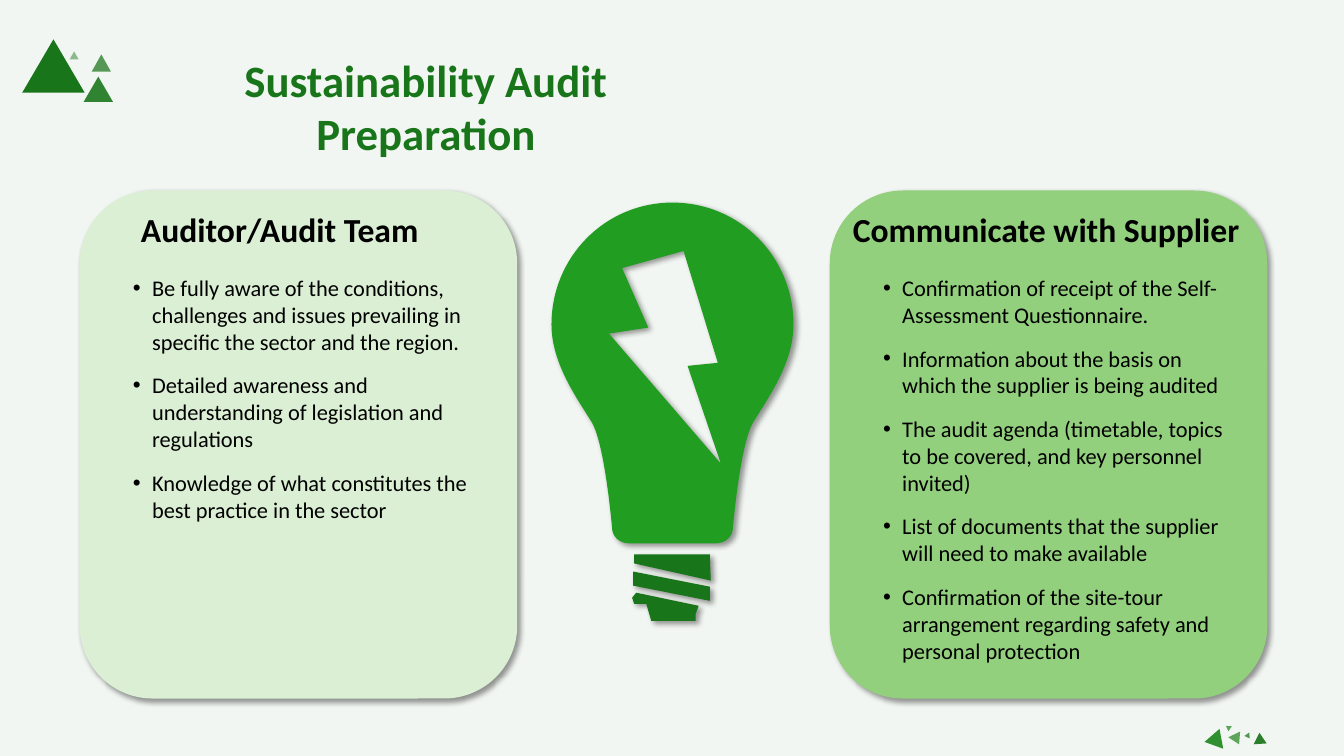
import pptx
import pptx.util
import pptx.oxml
import pptx.oxml.ns
import pptx.dml.color
import pptx.enum.shapes
import pptx.enum.text

Inches = pptx.util.Inches
Pt = pptx.util.Pt
MSO_SHAPE = pptx.enum.shapes.MSO_SHAPE

COLORS = {
    "background": "F2F6F2", "dark": "197519", "bulb": "219E21", "text": "000000",
    "pale": "DBEFD4", "light": "93D07D", "leaf": "5EA45A", "moss": "309030",
    "pine": "2B7E2A", "sage": "559551",
}
FONT = "Calibri"
TITLE = "Sustainability Audit Preparation"
PANELS = [
    {"left": 0.79, "fill": "pale", "heading": "Auditor/Audit Team",
     "heading_left": 1.3, "heading_width": 3.09, "body_height": 2.59,
     "points": [
         "Be fully aware of the conditions, challenges and issues prevailing in specific the sector and the region.",
         "Detailed awareness and understanding of legislation and regulations",
         "Knowledge of what constitutes the best practice in the sector"]},
    {"left": 8.23, "fill": "light", "heading": "Communicate with Supplier",
     "heading_left": 8.36, "heading_width": 4.04, "body_height": 4,
     "points": [
         "Confirmation of receipt of the Self-Assessment Questionnaire.",
         "Information about the basis on which the supplier is being audited",
         "The audit agenda (timetable, topics to be covered, and key personnel invited)",
         "List of documents that the supplier will need to make available",
         "Confirmation of the site-tour arrangement regarding safety and personal protection"]},
]
TRIANGLES = [
    (12.2, 7.28, 0.13, 0.11, 153.9, "leaf", 100),
    (11.93, 7.26, 0.2, 0.17, 259.5, "moss", 100),
    (12.43, 7.27, 0.13, 0.11, 356.2, "pine", 100),
    (12.15, 7.19, 0.06, 0.05, 303.5, "leaf", 100),
    (12.35, 7.28, 0.06, 0.05, 145.8, "sage", 100),
    (0.22, 0.39, 0.62, 0.53, 0, "dark", 100),
    (0.83, 0.76, 0.29, 0.25, 0, "dark", 89),
    (0.69, 0.51, 0.09, 0.08, 0, "dark", 47),
    (0.91, 0.54, 0.19, 0.17, 0, "dark", 72),
]
BULB_AXIS = 6.67
BULB_LEFT_SIDE = [
    (BULB_AXIS, 2.01),
    (6, 2.01), (5.47, 2.55), (5.47, 3.22),
    (5.47, 3.61), (5.73, 3.96), (5.87, 4.19),
    (6, 4.41), (6.07, 5.23), (6.07, 5.23),
    (6.07, 5.32), (6.14, 5.39), (6.24, 5.39),
]
BULB_CURVE_STARTS = [0, 3, 6, 9, 13, 16, 19, 22]
BOLT = [(6.04, 3.31), (6.43, 3.25), (6.17, 2.66), (6.78, 2.49),
        (7.12, 3.6), (6.82, 3.63), (7.15, 4.6)]
SCREW_PARTS = [
    [(6.29, 5.5), (7.04, 5.5), (7.05, 5.76), (6.29, 5.59)],
    [(7.04, 5.96), (7.04, 5.82), (6.28, 5.67), (6.28, 5.81)],
    [(6.31, 5.88), (6.93, 6.01), (6.9, 6.09), (6.9, 6.16), (6.46, 6.16),
     (6.41, 5.99), (6.29, 5.99), (6.27, 5.93)],
]
NS = pptx.oxml.ns.nsdecls("a")
SHADOW = (
    '<a:effectLst %s><a:outerShdw blurRad="50800" dist="38100" dir="2700000" '
    'algn="tl" rotWithShape="0"><a:srgbClr val="000000"><a:alpha val="40000"/>'
    '</a:srgbClr></a:outerShdw></a:effectLst>' % NS)


def rgb(name):
    return pptx.dml.color.RGBColor.from_string(COLORS[name])


def paint(s, color, shadow=False, alpha=100):
    s.fill.solid()
    s.fill.fore_color.rgb = rgb(color)
    s.line.fill.background()
    s.shadow.inherit = False
    props = s._element.spPr
    if alpha < 100:
        clr = props.find(".//" + pptx.oxml.ns.qn("a:srgbClr"))
        clr.append(pptx.oxml.parse_xml('<a:alpha %s val="%d"/>' % (NS, alpha * 1000)))
    if shadow:
        empty = props.find(pptx.oxml.ns.qn("a:effectLst"))
        props.replace(empty, pptx.oxml.parse_xml(SHADOW))


def add_outline(shapes, contours, color, curve_starts=()):
    first, *rest = [[(Inches(x), Inches(y)) for x, y in c] for c in contours]
    builder = shapes.build_freeform(*first[0], scale=1.0)
    builder.add_line_segments(first[1:], close=True)
    for contour in rest:
        builder.move_to(*contour[0])
        builder.add_line_segments(contour[1:], close=True)
    s = builder.convert_to_shape()
    paint(s, color, shadow=True)
    segments = list(s._element.iter(pptx.oxml.ns.qn("a:lnTo")))
    for start in curve_starts:
        controls = segments[start:start + 3]
        curve = pptx.oxml.parse_xml("<a:cubicBezTo %s/>" % NS)
        controls[0].addprevious(curve)
        for segment in controls:
            curve.append(segment[0])
            segment.getparent().remove(segment)


def add_text(shapes, box, lines, size, color="text", bold=False, wrap=True,
             bullets=False):
    tf = shapes.add_textbox(*map(Inches, box)).text_frame
    tf.word_wrap = wrap
    tf.text = "\n".join(lines)
    for i, p in enumerate(tf.paragraphs):
        if bullets:
            props = p._p.get_or_add_pPr()
            props.set("marL", str(Inches(0.19)))
            props.set("indent", str(-Inches(0.19)))
            for tag in ('buFont %s typeface="Arial"', 'buChar %s char="•"'):
                props.append(pptx.oxml.parse_xml("<a:" + tag % NS + "/>"))
            p.space_before = Pt(6 if i else 0)
            p.space_after = Pt(6)
        for r in p.runs:
            r.font.name = FONT
            r.font.size = Pt(size)
            r.font.bold = bold
            r.font.color.rgb = rgb(color)
    return tf


prs = pptx.Presentation()
prs.slide_width = Inches(13.33)
prs.slide_height = Inches(7.5)
slide = prs.slides.add_slide(prs.slide_layouts[6])
slide.background.fill.solid()
slide.background.fill.fore_color.rgb = rgb("background")
shapes = slide.shapes

bulb_right_side = [(2 * BULB_AXIS - x, y) for x, y in reversed(BULB_LEFT_SIDE)]
add_outline(shapes, [BULB_LEFT_SIDE + bulb_right_side, BOLT], "bulb",
            BULB_CURVE_STARTS)
for part in SCREW_PARTS:
    add_outline(shapes, [part], "dark")

for x, y, w, h, angle, color, alpha in TRIANGLES:
    s = shapes.add_shape(MSO_SHAPE.ISOSCELES_TRIANGLE, *map(Inches, (x, y, w, h)))
    s.rotation = angle
    paint(s, color, alpha=alpha)

tf = add_text(shapes, (1.19, 0.47, 6.07, 0.64), [TITLE], 32, "dark", bold=True)
tf.margin_left = tf.margin_right = Inches(0.3)
tf.paragraphs[0].alignment = pptx.enum.text.PP_ALIGN.CENTER

for panel in PANELS:
    s = shapes.add_shape(MSO_SHAPE.ROUNDED_RECTANGLE,
                         *map(Inches, (panel["left"], 1.89, 4.34, 5.04)))
    paint(s, panel["fill"], shadow=True)
    add_text(shapes, (panel["left"] + 0.43, 2.67, 3.58, panel["body_height"]),
             panel["points"], 16, bullets=True)
    add_text(shapes, (panel["heading_left"], 2.02, panel["heading_width"], 0.5),
             [panel["heading"]], 24, bold=True, wrap=False)

prs.save("out.pptx")
